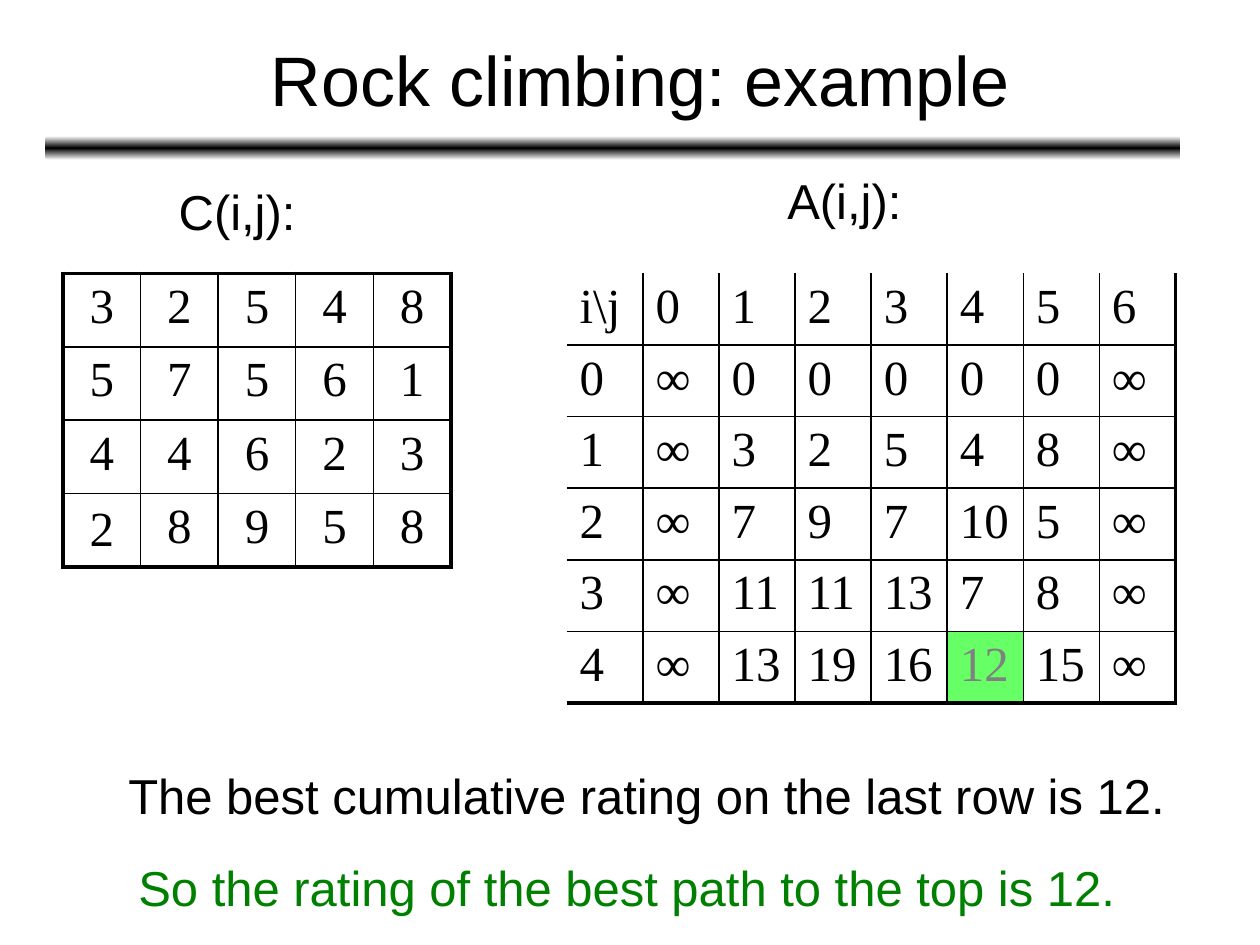
import copy

import pptx
import pptx.dml.color
import pptx.enum.shapes
import pptx.enum.text
import pptx.oxml
import pptx.oxml.ns
import pptx.util
from pptx.util import Inches

THEME = {
    "black": "000000", "white": "FFFFFF", "green": "008000",
    "highlight": "66FF66", "gray": "808080",
    "sans": "Arial", "serif": "Times New Roman",
    "title_size": 40, "body_size": 28,
    "thin": 1, "thick": 2.25,
}
ALIGN = pptx.enum.text.PP_ALIGN
ANCHOR = pptx.enum.text.MSO_ANCHOR

# Content: text, (left, top, width, height), colour
TITLE = ("Rock climbing: example", (0.83, 0, 8.5, 1.25))
TEXTS = [
    ("C(i,j):", (1.32, 1.44, 1.14, 0.52), "black"),
    ("A(i,j):", (6.15, 1.36, 1.16, 0.52), "black"),
    ("The best cumulative rating on the last row is 12.", (0.92, 6.08, 8.69, 0.53), "black"),
    ("So the rating of the best path to the top is 12.", (1, 6.81, 8.25, 0.53), "green"),
]
COSTS = {
    "rows": ["3 2 5 4 8", "5 7 5 6 1", "4 4 6 2 3", "2 8 9 5 8"],
    "at": (0.5, 2.17, 3.08, 2.33),
    "align": ALIGN.CENTER,
    "outer": {"L": "thick", "R": "thick", "T": "thick", "B": "thick"},
    "highlight": None,
    "middle": (3, 0),
}
RATINGS = {
    "rows": [
        "i\\j 0 1 2 3 4 5 6",
        "0 ∞ 0 0 0 0 0 ∞",
        "1 ∞ 3 2 5 4 8 ∞",
        "2 ∞ 7 9 7 10 5 ∞",
        "3 ∞ 11 11 13 7 8 ∞",
        "4 ∞ 13 19 16 12 15 ∞",
    ],
    "at": (4.5, 2.17, 4.83, 3.41),
    "align": ALIGN.LEFT,
    "outer": {"L": None, "R": "thick", "T": None, "B": "thick"},
    "highlight": (5, 5),
    "middle": None,
}


def color(name):
    return pptx.dml.color.RGBColor.from_string(THEME[name])


def add_run(paragraph, text, font, size, color_name):
    run = paragraph.add_run()
    run.text = text
    run.font.name = THEME[font]
    run.font.size = pptx.util.Pt(THEME[size])
    run.font.color.rgb = color(color_name)


def add_text(slide, text, box, color_name="black", size="body_size"):
    shape = slide.shapes.add_textbox(*map(Inches, box))
    frame = shape.text_frame
    frame.word_wrap = True
    paragraph = frame.paragraphs[0]
    add_run(paragraph, text, "sans", size, color_name)
    return frame, paragraph


def set_border(cell, side, weight):
    properties = cell._tc.get_or_add_tcPr()
    width = pptx.util.Pt(THEME[weight]) if weight else 0
    paint = (f'<a:solidFill><a:srgbClr val="{THEME["black"]}"/></a:solidFill>'
             if weight else "<a:noFill/>")
    properties.append(pptx.oxml.parse_xml(
        f'<a:ln{side} {pptx.oxml.ns.nsdecls("a")} w="{width}">{paint}</a:ln{side}>'))


def add_grid(slide, grid):
    rows = [row.split() for row in grid["rows"]]
    row_count, column_count = len(rows), len(rows[0])
    left, top, width, height = map(Inches, grid["at"])
    table = slide.shapes.add_table(
        row_count, column_count, left, top, width, height).table
    table.first_row = table.horz_banding = False
    for r, row in enumerate(rows):
        for c, value in enumerate(row):
            cell = table.cell(r, c)
            marked = (r, c) == grid["highlight"]
            paragraph = cell.text_frame.paragraphs[0]
            paragraph.alignment = grid["align"]
            add_run(paragraph, value, "serif", "body_size", "gray" if marked else "black")
            if (r, c) == grid["middle"]:
                cell.vertical_anchor = ANCHOR.MIDDLE
            # Outer edges follow the grid, inner ones are thin
            on_edge = {"L": c == 0, "R": c == column_count - 1,
                       "T": r == 0, "B": r == row_count - 1}
            for side, is_outer in on_edge.items():
                set_border(cell, side, grid["outer"][side] if is_outer else "thin")
            if marked:
                cell.fill.solid()
                cell.fill.fore_color.rgb = color("highlight")
            else:
                cell.fill.background()


def add_divider(slide):
    bar = slide.shapes.add_shape(
        pptx.enum.shapes.MSO_SHAPE.ROUNDED_RECTANGLE,
        *map(Inches, (0.36, 1.08, 9.01, 0.19)))
    bar.shadow.inherit = False
    bar.line.fill.background()
    bar.fill.gradient()
    bar.fill.gradient_angle = 90
    # White, black, white from top to bottom
    stop_list = bar.fill._fill._gradFill.gsLst
    stop_list.insert(1, copy.deepcopy(stop_list[0]))
    stops = zip(bar.fill.gradient_stops, (0, 0.5, 1), ("white", "black", "white"))
    for stop, position, name in stops:
        stop.position = position
        stop.color.rgb = color(name)


def main():
    presentation = pptx.Presentation()
    presentation.slide_width = Inches(10)
    presentation.slide_height = Inches(7.5)
    slide = presentation.slides.add_slide(presentation.slide_layouts[6])

    # Heading
    add_divider(slide)
    frame, paragraph = add_text(slide, *TITLE, size="title_size")
    frame.vertical_anchor = ANCHOR.MIDDLE
    paragraph.alignment = ALIGN.CENTER

    # Tables
    for grid in (COSTS, RATINGS):
        add_grid(slide, grid)

    # Labels and conclusions
    for text, box, color_name in TEXTS:
        frame, paragraph = add_text(slide, text, box, color_name)
        frame.auto_size = pptx.enum.text.MSO_AUTO_SIZE.SHAPE_TO_FIT_TEXT
        paragraph.line_spacing = 0.9

    presentation.save("out.pptx")


if __name__ == "__main__":
    main()
